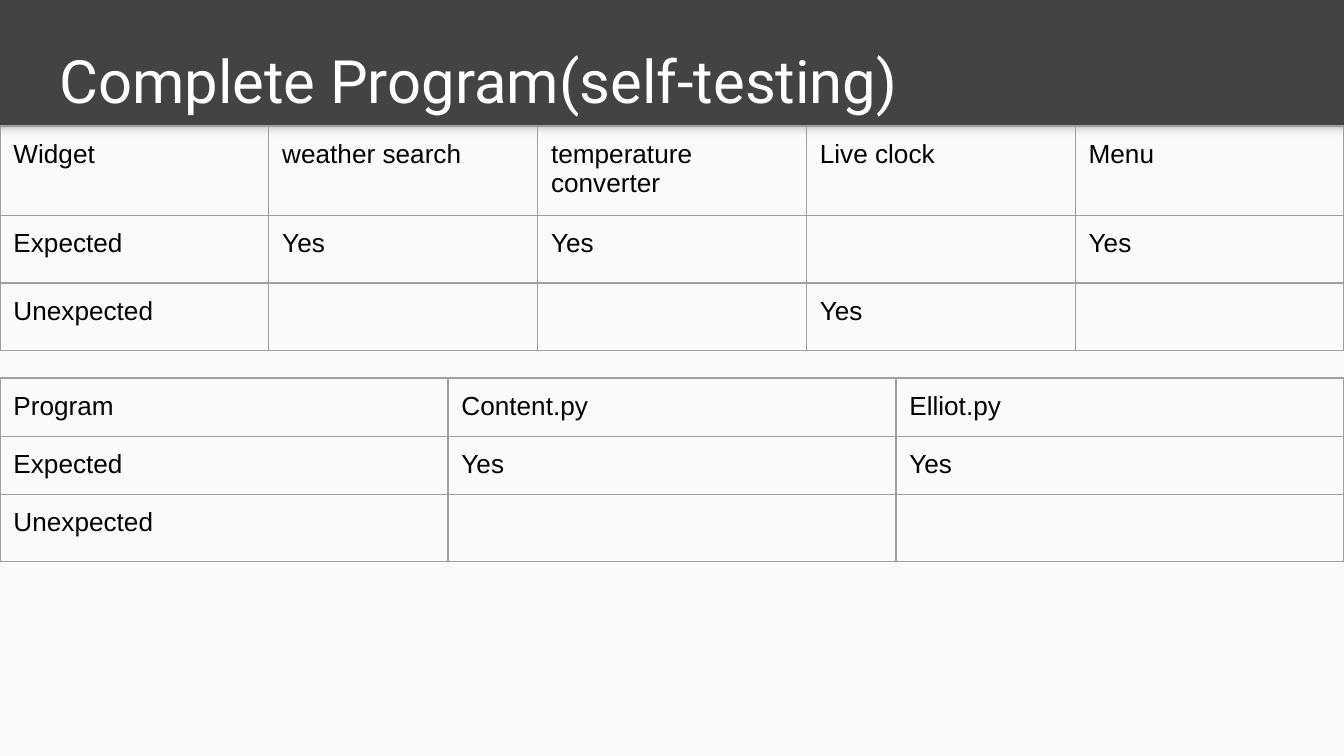
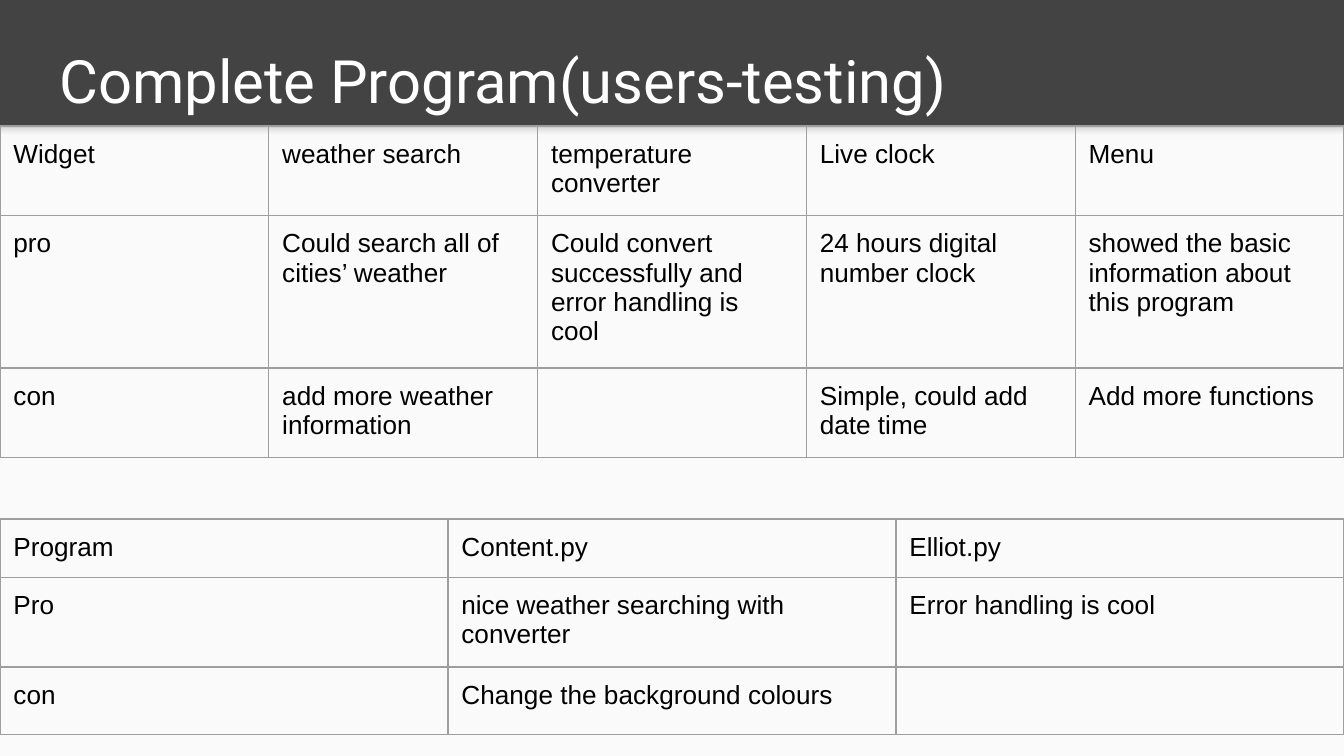
from lxml.etree import SubElement
from pptx import Presentation
from pptx.dml.color import RGBColor
from pptx.enum.shapes import MSO_SHAPE
from pptx.enum.text import MSO_ANCHOR
from pptx.oxml import parse_xml
from pptx.oxml.ns import nsdecls, qn
from pptx.util import Emu, Pt

SCALE = 914400 / 134.4  # EMU in one px
WIDTH, HEIGHT = 1344, 756
BODY_TOP = 126

HEADER = RGBColor(0x43, 0x43, 0x43)
BODY = RGBColor(0xFA, 0xFA, 0xFA)
WHITE = RGBColor(0xFF, 0xFF, 0xFF)
BLACK = RGBColor(0x00, 0x00, 0x00)
BORDER = RGBColor(0x9E, 0x9E, 0x9E)
SHADE_STOPS = [
    (0, RGBColor(0xF9, 0xF9, 0xF9)),
    (36, RGBColor(0xF9, 0xF9, 0xF9)),
    (80, RGBColor(0xDE, 0xDE, 0xDE)),
    (100, RGBColor(0x99, 0x99, 0x99)),
]

WIDGETS = ["Widget", "weather search", "temperature converter", "Live clock", "Menu"]
PROGRAMS = ["Program", "Content.py", "Elliot.py"]
WIDGET_ROWS = [88, 58, 58]
PROGRAM_ROWS = [56, 56, 56]


def px(n):
    return Emu(round(n * SCALE))


def set_insets(frame):
    """Give a text frame or a table cell the same inset on all sides."""
    frame.margin_left = frame.margin_right = Pt(7.2)
    frame.margin_top = frame.margin_bottom = Pt(7.2)


def set_font(p, name, size, color):
    for r in p.runs:
        r.font.name = name
        r.font.size = Pt(size)
        r.font.color.rgb = color


def add_rect(slide, box):
    sp = slide.shapes.add_shape(MSO_SHAPE.RECTANGLE, *map(px, box))
    sp.shadow.inherit = False
    sp.line.fill.background()
    return sp


def add_backdrop(slide):
    """Dark header, light body and the soft shade between them."""
    slide.background.fill.solid()
    slide.background.fill.fore_color.rgb = HEADER

    body = add_rect(slide, (0, BODY_TOP, WIDTH, HEIGHT - BODY_TOP))
    body.fill.solid()
    body.fill.fore_color.rgb = BODY

    shade = add_rect(slide, (0, BODY_TOP - 1, WIDTH, 16))
    stops = "".join(
        f'<a:gs pos="{pos * 1000}"><a:srgbClr val="{color}"/></a:gs>'
        for pos, color in SHADE_STOPS
    )
    gradient = parse_xml(
        f'<a:gradFill {nsdecls("a")}><a:gsLst>{stops}</a:gsLst>'
        f'<a:lin ang="{270 * 60000}" scaled="0"/></a:gradFill>'
    )
    shade.element.spPr.find(qn("a:prstGeom")).addnext(gradient)


def add_title(slide, box, text):
    tf = slide.shapes.add_textbox(*map(px, box)).text_frame
    tf.word_wrap = True
    tf.vertical_anchor = MSO_ANCHOR.TOP
    set_insets(tf)
    tf.text = text
    set_font(tf.paragraphs[0], "Roboto", 32, WHITE)


def set_borders(cell):
    tcPr = cell._tc.get_or_add_tcPr()
    for i, side in enumerate(("lnL", "lnR", "lnT", "lnB")):
        ln = parse_xml(f'<a:{side} {nsdecls("a")} w="{Pt(0.75)}"/>')
        fill = SubElement(ln, qn("a:solidFill"))
        SubElement(fill, qn("a:srgbClr"), val=str(BORDER))
        tcPr.insert(i, ln)


def add_grid(slide, top, heights, rows):
    """Full-width table with equal columns."""
    cols = len(rows[0])
    frame = slide.shapes.add_table(
        len(rows), cols, px(0), px(top), px(WIDTH), px(sum(heights))
    )
    table = frame.table
    table.first_row = table.horz_banding = False
    for col in table.columns:
        col.width = px(WIDTH / cols)
    for row, height, texts in zip(table.rows, heights, rows):
        row.height = px(height)
        for cell, text in zip(row.cells, texts):
            cell.fill.background()
            set_borders(cell)
            set_insets(cell)
            if text:
                cell.text_frame.text = text
                set_font(cell.text_frame.paragraphs[0], "Arial", 14, BLACK)


def add_testing_slide(prs, title, widget_rows, program_top, program_rows):
    slide = prs.slides.add_slide(prs.slide_layouts[6])
    add_backdrop(slide)
    add_title(slide, (46, 30, 1252, 84), title)
    add_grid(slide, BODY_TOP, WIDGET_ROWS, [WIDGETS] + widget_rows)
    add_grid(slide, program_top, PROGRAM_ROWS, [PROGRAMS] + program_rows)


def main():
    prs = Presentation()
    prs.slide_width, prs.slide_height = px(WIDTH), px(HEIGHT)

    add_testing_slide(
        prs,
        "Complete Program(self-testing)",
        [
            ["Expected", "Yes", "Yes", "", "Yes"],
            ["Unexpected", "", "", "Yes", ""],
        ],
        378,
        [
            ["Expected", "Yes", "Yes"],
            ["Unexpected", "", ""],
        ],
    )
    add_testing_slide(
        prs,
        "Complete Program(users-testing)",
        [
            [
                "pro",
                "Could search all of cities’ weather",
                "Could convert successfully and error handling is cool",
                "24 hours digital number clock",
                "showed the basic information about this program",
            ],
            [
                "con",
                "add more weather information",
                "",
                "Simple, could add date time",
                "Add more functions",
            ],
        ],
        519,
        [
            ["Pro", "nice weather searching with converter", "Error handling is cool"],
            ["con", "Change the background colours", ""],
        ],
    )
    prs.save("out.pptx")


if __name__ == "__main__":
    main()
